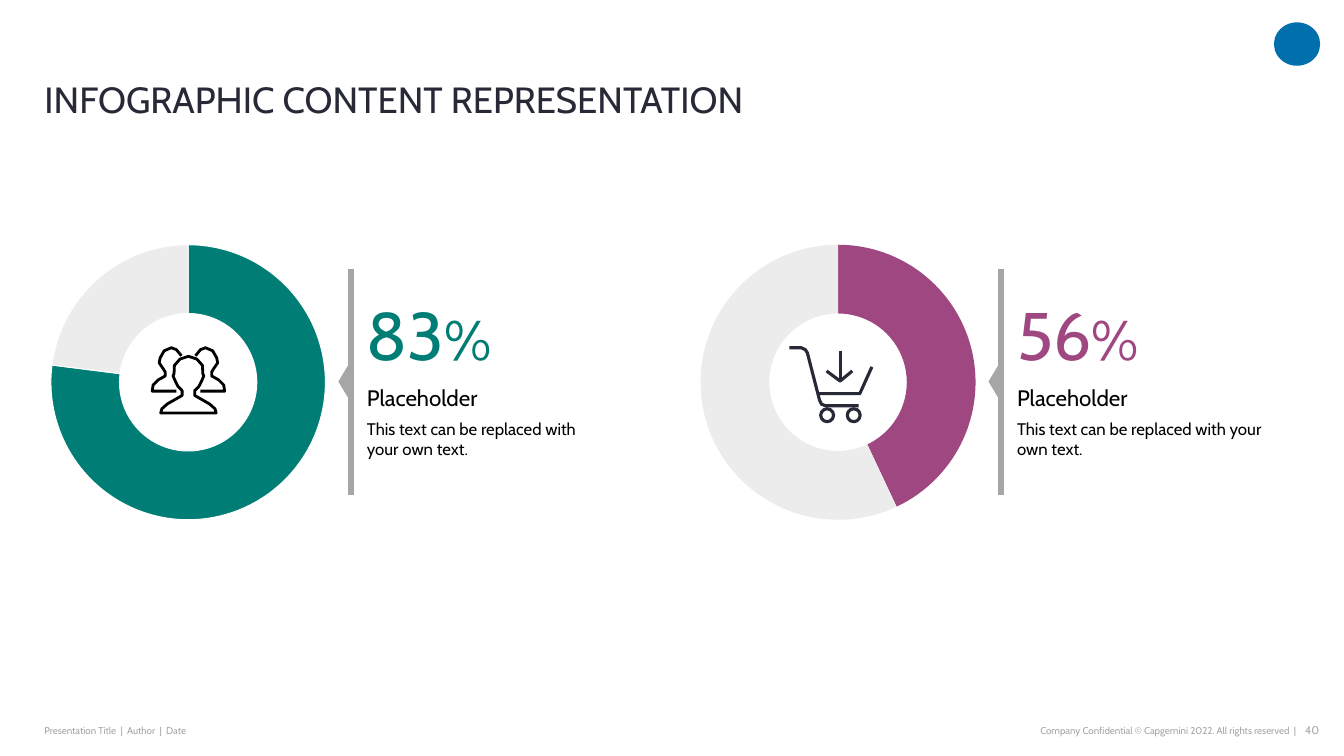
from lxml.etree import SubElement
from pptx import Presentation
from pptx.chart.data import CategoryChartData
from pptx.dml.color import RGBColor
from pptx.enum.chart import XL_CHART_TYPE as ChartType
from pptx.enum.shapes import MSO_CONNECTOR as Connector, MSO_SHAPE as Shape
from pptx.enum.text import MSO_ANCHOR as Anchor, MSO_AUTO_SIZE as AutoSize, PP_ALIGN as Align
from pptx.oxml import parse_xml
from pptx.oxml.ns import nsdecls, qn
from pptx.util import Pt

TEAL, PURPLE, PALE, GREY, INK, BLACK, WHITE = (
    "007D74", "9E4780", "ECECEC", "A6A6A6", "272936", "000000", "FFFFFF")
PLOT_LAYOUT = (
    f'<c:layout {nsdecls("c")}><c:manualLayout><c:layoutTarget val="inner"/>'
    '<c:xMode val="edge"/><c:yMode val="edge"/><c:x val="0"/><c:y val="0"/>'
    '<c:w val="0.996"/><c:h val="0.996"/></c:manualLayout></c:layout>')
HEAD_CENTRE = 134.6
FRONT_HALF = [(0, 254.5), (6, 256.5), (10, 261), (10.3, 267), (11, 268.5), (9.5, 272),
              (7.5, 276), (4.5, 279), (4.5, 282.5), (8, 284.5), (15, 288.5), (19, 292),
              (19.8, 295)]
BACK_HALF = [(5, 254.2), (8.6, 249.8), (12.2, 248.4), (17.3, 250.6), (20.2, 255.6),
             (20.9, 259.2), (18, 263.5), (16.6, 265.7), (16.6, 268.6), (21.6, 271.4),
             (25.2, 275), (25.9, 279.4), (8.6, 279.4)]
CART_LINES = [
    [(563.8, 248.4), (572.4, 248.4), (575.3, 249.8), (576.7, 252), (585.4, 285.8),
     (586.8, 288.7), (589.7, 289.8), (613.4, 289.8)],
    [(584.6, 281.2), (614.2, 281.2), (622.8, 262.1)],
    [(600.1, 250.6), (600.1, 272.2)],
    [(590.4, 265), (600.1, 272.2), (608.8, 265)],
]


def colour(value):
    return RGBColor.from_string(value)


class SlideBuilder:
    """Holds the text style and the current slide, and adds elements in points."""

    def __init__(self, presentation, font="Cabin"):
        self.slide = presentation.slides.add_slide(presentation.slide_layouts[5])
        self.shapes = self.slide.shapes
        self.font = font

    def fill_text(self, shape, *runs, align=Align.LEFT, anchor=Anchor.MIDDLE,
                  insets=(0, 0, 0, 0), spacing=None, grow=False):
        frame = shape.text_frame
        frame.word_wrap = True
        frame.auto_size = AutoSize.SHAPE_TO_FIT_TEXT if grow else AutoSize.NONE
        frame.vertical_anchor = anchor
        (frame.margin_left, frame.margin_top,
         frame.margin_right, frame.margin_bottom) = map(Pt, insets)
        paragraph = frame.paragraphs[0]
        paragraph.alignment = align
        paragraph.line_spacing = spacing
        for text, size, fill in runs:
            run = paragraph.add_run()
            run.text = text
            run.font.name = self.font
            run.font.size = Pt(size)
            run.font.color.rgb = colour(fill)

    def title(self, box, *runs, **style):
        shape = self.shapes.title
        shape.left, shape.top, shape.width, shape.height = map(Pt, box)
        self.fill_text(shape, *runs, **style)

    def text(self, box, *runs, **style):
        self.fill_text(self.shapes.add_textbox(*map(Pt, box)), *runs, **style)

    def paint(self, shape, fill=None, line=None, width=1):
        shape.shadow.inherit = False
        if fill:
            shape.fill.solid()
            shape.fill.fore_color.rgb = colour(fill)
        else:
            shape.fill.background()
        if line:
            shape.line.color.rgb = colour(line)
            shape.line.width = Pt(width)
        else:
            shape.line.fill.background()

    def preset(self, kind, box, rotation=0, **look):
        shape = self.shapes.add_shape(kind, *map(Pt, box))
        shape.rotation = rotation
        self.paint(shape, **look)

    def outline(self, points, close=False, **look):
        start, *rest = [(Pt(x), Pt(y)) for x, y in points]
        builder = self.shapes.build_freeform(*start)
        builder.add_line_segments(rest, close=close)
        self.paint(builder.convert_to_shape(), **look)

    def line(self, start, end, fill, width):
        connector = self.shapes.add_connector(Connector.STRAIGHT, *map(Pt, start + end))
        connector.line.color.rgb = colour(fill)
        connector.line.width = Pt(width)
        SubElement(connector._element.spPr, qn("a:effectLst"))

    def doughnut(self, box, values, fills, border=None):
        data = CategoryChartData(number_format="0")
        data.categories = ["1", "2"]
        data.add_series("Series 1", values)
        chart = self.shapes.add_chart(ChartType.DOUGHNUT, *map(Pt, box), data).chart
        chart.has_legend = chart.has_title = False
        chart.font.name = self.font
        chart.font.size = Pt(10)
        chart.font.color.rgb = colour(BLACK)
        plot = chart.plots[0]
        plot.vary_by_categories = True
        plot.has_data_labels = False
        for index, fill in enumerate(fills):
            form = plot.series[0].points[index].format
            form.fill.solid()
            form.fill.fore_color.rgb = colour(fill)
            if border:
                form.line.color.rgb = colour(border)
                form.line.width = Pt(0.75)
            else:
                form.line.fill.background()
        area = chart._chartSpace.find(".//" + qn("c:plotArea"))
        for layout in area.findall(qn("c:layout")):
            area.remove(layout)
        area.insert(0, parse_xml(PLOT_LAYOUT))
        area.find(".//" + qn("c:holeSize")).set("val", "75")

    def panel(self, left, number, values, fill, text_width, border=None):
        self.doughnut((left, 151.2, 197.3, 244.8), values, (fill, PALE), border)
        self.line((left + 214.6, 192.2), (left + 214.6, 353.5), GREY, 4.5)
        self.preset(Shape.ISOSCELES_TRIANGLE, (left + 198.7, 269.3, 21.6, 6.5),
                    rotation=270, fill=GREY, line=GREY)
        text_left = left + 226.1
        self.text((text_left, 212.4, 214, 51.8), (number, 48, fill), ("%", 40, fill),
                  insets=(0, 2.9, 2.9, 2.9))
        self.text((text_left, 254.2, 190, 36), ("Placeholder", 16, BLACK),
                  spacing=Pt(43), grow=True)
        self.text((text_left, 288.7, text_width, 49.7),
                  ("This text can be replaced with your own text.", 12, BLACK))

    def people(self):
        for side in (1, -1):
            self.outline([(HEAD_CENTRE + side * x, y) for x, y in BACK_HALF],
                         line=BLACK, width=2)
        halves = FRONT_HALF + [(-x, y) for x, y in reversed(FRONT_HALF[1:])]
        self.outline([(HEAD_CENTRE + x, y) for x, y in halves], close=True,
                     line=BLACK, width=2)

    def cart(self):
        for points in CART_LINES:
            self.outline(points, line=INK, width=2.25)
        for centre in (590.8, 609.8):
            self.preset(Shape.OVAL, (centre - 4.6, 292, 9.2, 9.2), line=INK, width=2.25)


def main():
    presentation = Presentation()
    presentation.slide_width, presentation.slide_height = Pt(960), Pt(540)
    builder = SlideBuilder(presentation)
    builder.preset(Shape.OVAL, (910, 16, 33, 31), fill="0070AD")
    builder.text((31.7, 513.4, 268.6, 17.3),
                 ("Presentation Title  |  Author  |  Date", 7, GREY))
    builder.text((568.8, 513.4, 357, 17.3),
                 ("Company Confidential © Capgemini 2022. All rights reserved  |", 7, GREY),
                 align=Align.RIGHT)
    builder.text((924.5, 513.4, 18, 17.3), ("40", 8, GREY), align=Align.RIGHT,
                 anchor=Anchor.TOP, insets=(0, 3.6, 0, 3.6), grow=True)
    builder.title((31.7, 30.2, 861.8, 56.2),
                  ("INFOGRAPHIC CONTENT REPRESENTATION", 26, INK),
                  anchor=Anchor.BOTTOM, spacing=0.9)
    builder.panel(36, "83", (77, 23), TEAL, 169.2, border=WHITE)
    builder.people()
    builder.panel(500.4, "56", (43, 57), PURPLE, 177.1)
    builder.cart()
    presentation.save("out.pptx")


if __name__ == "__main__":
    main()
